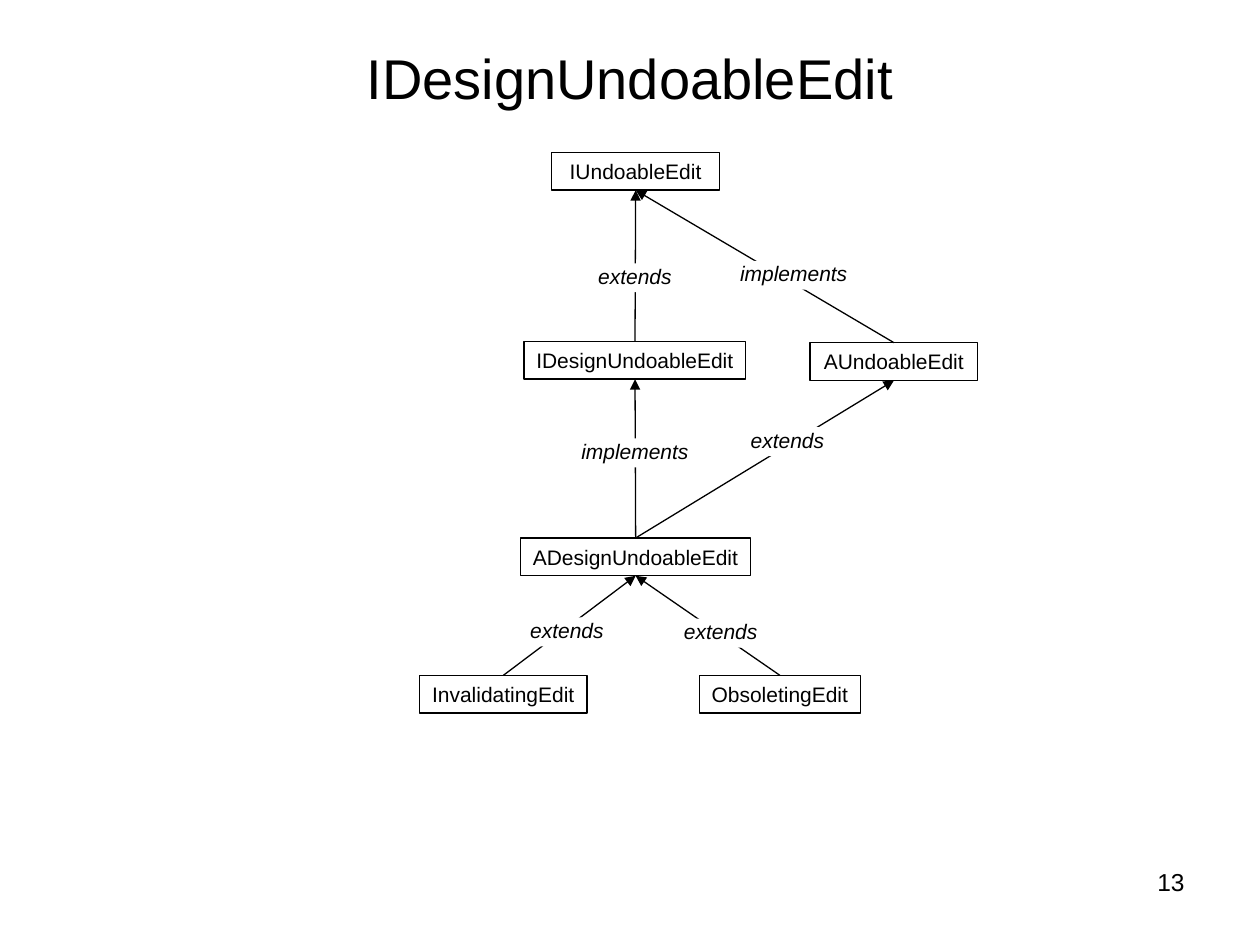
from lxml.etree import SubElement
from pptx import Presentation
from pptx.dml.color import RGBColor
from pptx.enum.shapes import MSO_CONNECTOR, MSO_SHAPE
from pptx.enum.text import MSO_ANCHOR, MSO_AUTO_SIZE, PP_ALIGN
from pptx.oxml.ns import qn
from pptx.util import Inches, Pt

BLACK = RGBColor(0, 0, 0)
WHITE = RGBColor(255, 255, 255)
FONT = "Arial"
TOP, BOTTOM = 0, 2
BOX_HEIGHT = 0.3
LABEL_WIDTH, LABEL_HEIGHT = 0.96, 0.23

# Type name: left, top, width
TYPES = {
    "IUndoableEdit": (4.38, 1.21, 1.33),
    "AUndoableEdit": (6.43, 2.72, 1.33),
    "IDesignUndoableEdit": (4.16, 2.71, 1.76),
    "ADesignUndoableEdit": (4.13, 4.27, 1.83),
    "ObsoletingEdit": (5.55, 5.36, 1.28),
    "InvalidatingEdit": (3.33, 5.36, 1.33),
}

# Subtype, supertype, relation, label left, label top
RELATIONS = [
    ("AUndoableEdit", "IUndoableEdit", "implements", 5.82, 2.07),
    ("IDesignUndoableEdit", "IUndoableEdit", "extends", 4.56, 2.09),
    ("ADesignUndoableEdit", "IDesignUndoableEdit", "implements", 4.56, 3.48),
    ("ADesignUndoableEdit", "AUndoableEdit", "extends", 5.77, 3.39),
    ("InvalidatingEdit", "ADesignUndoableEdit", "extends", 4.02, 4.9),
    ("ObsoletingEdit", "ADesignUndoableEdit", "extends", 5.24, 4.91),
]


def write(shape, text, size, align=PP_ALIGN.CENTER, italic=False):
    shape.text_frame.text = text
    para = shape.text_frame.paragraphs[0]
    para.alignment = align
    para.font.name = FONT
    para.font.size = Pt(size)
    para.font.italic = italic
    para.font.color.rgb = BLACK


def add_title(page, text):
    title = page.shapes.title
    title.left, title.top = Inches(0.5), Inches(0.3)
    title.width, title.height = Inches(9), Inches(0.62)
    title.text_frame.auto_size = MSO_AUTO_SIZE.NONE
    title.text_frame.vertical_anchor = MSO_ANCHOR.MIDDLE
    write(title, text, 32)


def add_rectangle(page, text, left, top, width, height, italic=False):
    box = page.shapes.add_shape(MSO_SHAPE.RECTANGLE, Inches(left), Inches(top),
                                Inches(width), Inches(height))
    box.shadow.inherit = False
    box.fill.solid()
    box.fill.fore_color.rgb = WHITE
    box.text_frame.word_wrap = False
    box.text_frame.vertical_anchor = MSO_ANCHOR.TOP
    write(box, text, 12, italic=italic)
    return box


def add_type(page, name, left, top, width):
    box = add_rectangle(page, name, left, top, width, BOX_HEIGHT)
    box.line.color.rgb = BLACK
    box.line.width = Pt(0.75)
    return box


def add_label(page, text, left, top):
    label = add_rectangle(page, text, left, top, LABEL_WIDTH, LABEL_HEIGHT, italic=True)
    label.line.fill.background()
    label.text_frame.margin_top = label.text_frame.margin_bottom = 0


def add_arrow(page, subtype, supertype):
    arrow = page.shapes.add_connector(MSO_CONNECTOR.STRAIGHT, 0, 0, 0, 0)
    arrow.begin_connect(subtype, TOP)
    arrow.end_connect(supertype, BOTTOM)
    arrow.line.color.rgb = BLACK
    arrow.line.width = Pt(0.75)
    SubElement(arrow.line._get_or_add_ln(), qn("a:tailEnd"), type="triangle")
    SubElement(arrow._element.spPr, qn("a:effectLst"))


def add_page_number(page, number):
    box = page.shapes.add_textbox(Inches(7.75), Inches(6.83), Inches(1.75), Inches(0.52))
    box.text_frame.word_wrap = True
    write(box, number, 14, PP_ALIGN.RIGHT)


def main():
    deck = Presentation()
    deck.slide_width, deck.slide_height = Inches(10), Inches(7.5)
    page = deck.slides.add_slide(deck.slide_layouts[5])
    add_title(page, "IDesignUndoableEdit")

    # Type hierarchy, with each label over its arrow
    boxes = {name: add_type(page, name, *place) for name, place in TYPES.items()}
    for subtype, supertype, relation, left, top in RELATIONS:
        add_arrow(page, boxes[subtype], boxes[supertype])
        add_label(page, relation, left, top)

    add_page_number(page, "13")
    deck.save("out.pptx")


if __name__ == "__main__":
    main()
